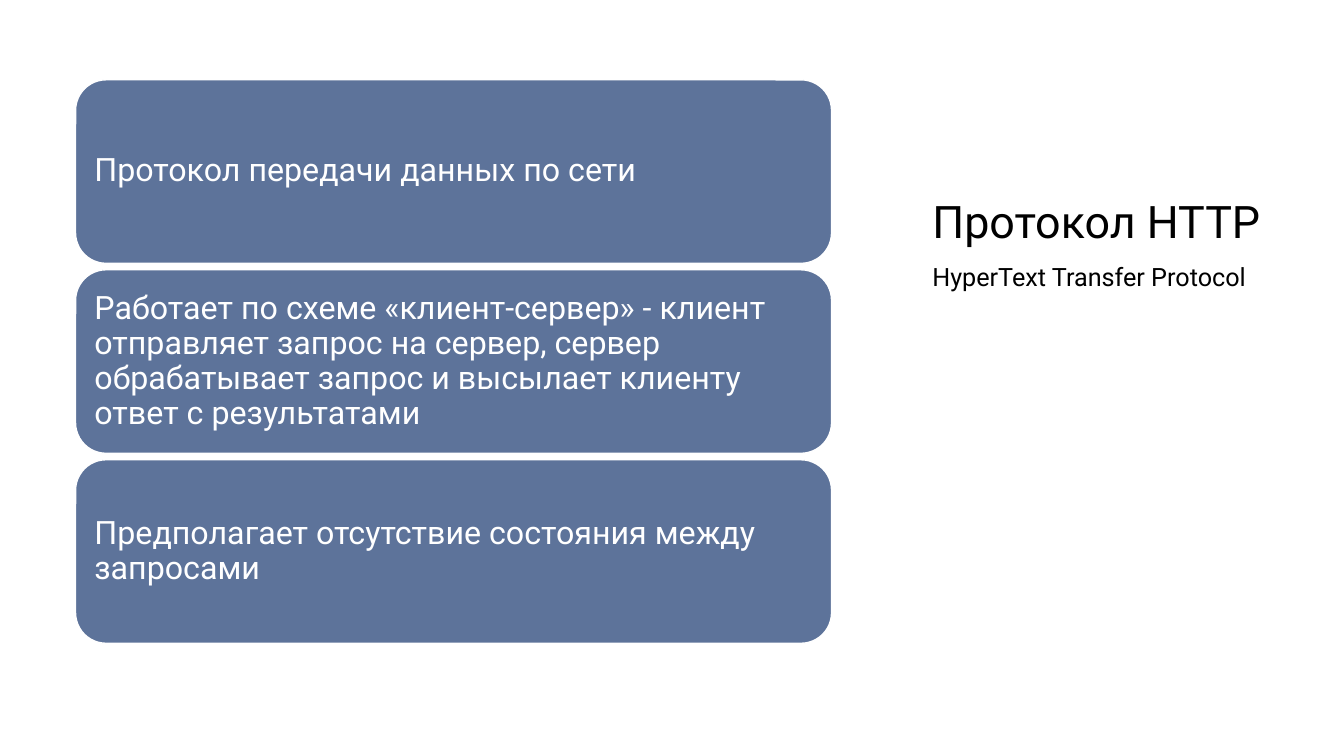
from collections import namedtuple

from pptx import Presentation
from pptx.dml.color import RGBColor
from pptx.enum.shapes import MSO_SHAPE
from pptx.enum.text import MSO_ANCHOR, PP_ALIGN
from pptx.util import Pt

ROUNDED = MSO_SHAPE.ROUNDED_RECTANGLE
TOP, MIDDLE, BOTTOM = MSO_ANCHOR.TOP, MSO_ANCHOR.MIDDLE, MSO_ANCHOR.BOTTOM
LEFT = PP_ALIGN.LEFT

WHITE = RGBColor(0xFF, 0xFF, 0xFF)
BLACK = RGBColor(0x00, 0x00, 0x00)
SLATE = RGBColor(0x5D, 0x73, 0x9A)
FONT = "Roboto"

Box = namedtuple("Box", "left top width height")

FACTS = [
    "Протокол передачи данных по сети",
    "Работает по схеме «клиент-сервер» - клиент отправляет запрос на сервер, "
    "сервер обрабатывает запрос и высылает клиенту ответ с результатами",
    "Предполагает отсутствие состояния между запросами",
]


def write_text(shape, text, *, size, color, anchor=TOP, inset=0,
               line_spacing=1.0, space_before=0):
    frame = shape.text_frame
    frame.word_wrap = True
    frame.vertical_anchor = anchor
    frame.margin_left = frame.margin_right = Pt(inset)
    frame.margin_top = frame.margin_bottom = Pt(inset)
    para = frame.paragraphs[0]
    para.alignment = LEFT
    para.line_spacing = line_spacing
    para.space_before = Pt(space_before)
    span = para.add_run()
    span.text = text
    span.font.name = FONT
    span.font.size = Pt(size)
    span.font.color.rgb = color


def add_fact_cards(page, box, facts, gap=4.6):
    """Stack equal rounded cards from top to bottom of the box."""
    height = (box.height - gap * (len(facts) - 1)) / len(facts)
    for index, fact in enumerate(facts):
        top = box.top + index * (height + gap)
        card = page.shapes.add_shape(
            ROUNDED, Pt(box.left), Pt(top), Pt(box.width), Pt(height))
        card.shadow.inherit = False
        card.fill.solid()
        card.fill.fore_color.rgb = SLATE
        card.line.color.rgb = WHITE
        card.line.width = Pt(1)
        write_text(card, fact, size=23, color=WHITE, anchor=MIDDLE,
                   inset=7.2, line_spacing=0.9)


def add_heading(page, box, title, subtitle, title_height=129.6, gap=7.2):
    """Place the title above its subtitle."""
    title_box = page.shapes.add_textbox(
        Pt(box.left), Pt(box.top), Pt(box.width), Pt(title_height))
    write_text(title_box, title, size=32, color=BLACK, anchor=BOTTOM)

    offset = title_height + gap
    subtitle_box = page.shapes.add_textbox(
        Pt(box.left), Pt(box.top + offset),
        Pt(box.width), Pt(box.height - offset))
    write_text(subtitle_box, subtitle, size=18, color=BLACK,
               line_spacing=1.1, space_before=8)


deck = Presentation()
deck.slide_width, deck.slide_height = Pt(960), Pt(540)
page = deck.slides.add_slide(deck.slide_layouts[6])

# Heading on the right
add_heading(page, Box(666, 47.5, 249, 420.5),
            "Протокол HTTP", "HyperText Transfer Protocol")

# Fact cards on the left
add_fact_cards(page, Box(54, 57, 540, 402.5), FACTS)

deck.save("out.pptx")
